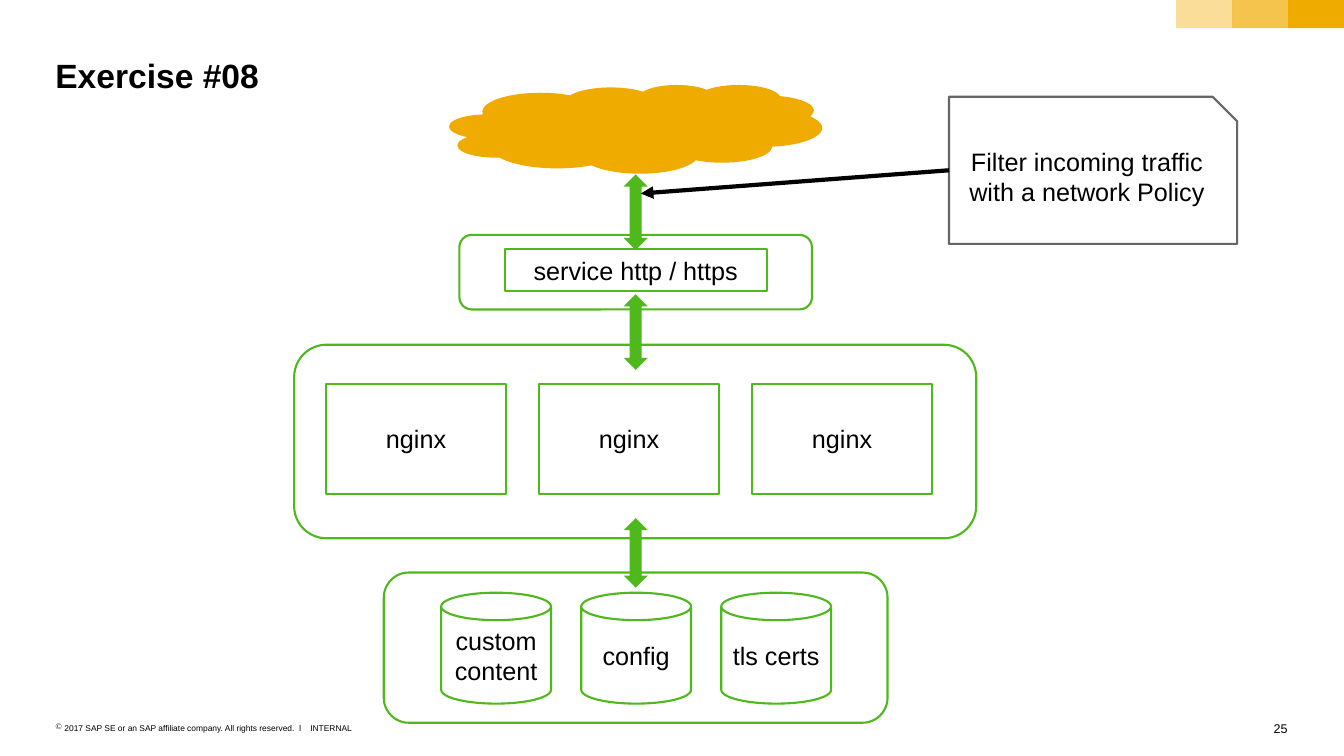
from lxml import etree
from pptx import Presentation
from pptx.dml.color import RGBColor
from pptx.enum.shapes import MSO_CONNECTOR, MSO_SHAPE
from pptx.enum.text import MSO_ANCHOR, PP_ALIGN
from pptx.oxml.ns import qn
from pptx.util import Inches, Pt

RECTANGLE = MSO_SHAPE.RECTANGLE
ROUNDED = MSO_SHAPE.ROUNDED_RECTANGLE
CAN = MSO_SHAPE.CAN
CLOUD = MSO_SHAPE.CLOUD
NOTE = MSO_SHAPE.SNIP_1_RECTANGLE
DOUBLE_ARROW = MSO_SHAPE.UP_DOWN_ARROW
STRAIGHT = MSO_CONNECTOR.STRAIGHT
MIDDLE = MSO_ANCHOR.MIDDLE
LEFT, CENTER, RIGHT = PP_ALIGN.LEFT, PP_ALIGN.CENTER, PP_ALIGN.RIGHT

BLACK, WHITE, GRAY = "000000", "FFFFFF", "666666"
GREEN, GOLD = "4FB81C", "F0AB00"


def color(value):
    return RGBColor.from_string(value)


class Canvas:
    """Places elements by percentages of the slide's width and height."""

    font = "Arial"
    outline = 1.5

    def __init__(self, presentation):
        self.width = presentation.slide_width
        self.height = presentation.slide_height
        self.slide = presentation.slides.add_slide(presentation.slide_layouts[6])

    def place(self, *shares):
        sizes = (self.width, self.height) * 2
        return [round(size * share / 100) for size, share in zip(sizes, shares)]

    def style(self, paragraph, size, align, bold=False):
        paragraph.alignment = align
        paragraph.font.name = self.font
        paragraph.font.size = Pt(size)
        paragraph.font.bold = bold
        paragraph.font.color.rgb = color(BLACK)

    def text(self, box, words, size, align=LEFT, bold=False, wrap=True, bullet=None):
        frame = self.slide.shapes.add_textbox(*self.place(*box)).text_frame
        frame.word_wrap = wrap
        frame.margin_left = frame.margin_right = 0
        frame.margin_top = frame.margin_bottom = 0
        paragraph = frame.paragraphs[0]
        paragraph.text = words
        if bullet:
            properties = paragraph._p.get_or_add_pPr()
            indent = Inches(0.09)
            properties.set("marL", str(indent))
            properties.set("indent", str(-indent))
            etree.SubElement(properties, qn("a:buChar")).set("char", bullet)
        self.style(paragraph, size, align, bold)

    def shape(self, kind, box, words="", fill=WHITE, line=GREEN, opacity=100):
        shape = self.slide.shapes.add_shape(kind, *self.place(*box))
        shape.shadow.inherit = False
        shape.fill.solid()
        shape.fill.fore_color.rgb = color(fill)
        if opacity < 100:
            fill_color = shape.fill._xPr.find(f".//{qn('a:srgbClr')}")
            etree.SubElement(fill_color, qn("a:alpha")).set("val", str(opacity * 1000))
        if line:
            shape.line.color.rgb = color(line)
            shape.line.width = Pt(self.outline)
        else:
            shape.line.fill.background()
        if words:
            frame = shape.text_frame
            frame.word_wrap = True
            frame.vertical_anchor = MIDDLE
            frame.margin_left = frame.margin_right = Inches(0.1)
            frame.margin_top = frame.margin_bottom = Inches(0.08)
            frame.text = words
            self.style(frame.paragraphs[0], 18, CENTER)

    def row(self, kind, first_box, step, labels):
        left, top, width, height = first_box
        for index, label in enumerate(labels):
            self.shape(kind, (left + index * step, top, width, height), label)

    def arrow(self, start, end):
        connector = self.slide.shapes.add_connector(STRAIGHT, *self.place(*start, *end))
        connector.line.color.rgb = color(BLACK)
        connector.line.width = Pt(3)
        line = connector.line._get_or_add_ln()
        etree.SubElement(line, qn("a:tailEnd")).set("type", "triangle")
        etree.SubElement(connector._element.spPr, qn("a:effectLst"))


def main():
    presentation = Presentation()
    presentation.slide_width = Inches(13.34)
    presentation.slide_height = Inches(7.5)
    canvas = Canvas(presentation)

    canvas.text((94.68, 95.33, 1.12, 2), "25", 9, RIGHT, wrap=False)
    canvas.text((23.09, 95.6, 3.15, 1.33), "INTERNAL", 6, wrap=False)
    canvas.text((4.12, 95.6, 18.59, 1.33),
                "2017 SAP SE or an SAP affiliate company. All rights reserved.  ǀ",
                6, bullet="©")
    band = 4.16
    for index, opacity in enumerate((100, 70, 40), start=1):
        canvas.shape(RECTANGLE, (100 - index * band, 0, band, 3.73),
                     fill=GOLD, line=None, opacity=opacity)
    canvas.text((4.12, 7.33, 91.68, 5.33), "Exercise #08", 24, bold=True)

    canvas.shape(ROUNDED, (21.89, 45.6, 50.75, 25.6))
    canvas.row(RECTANGLE, (24.29, 50.8, 13.34, 14.53), 15.85, ["nginx"] * 3)

    canvas.shape(ROUNDED, (28.56, 75.73, 37.48, 19.87))
    canvas.row(CAN, (32.83, 78.4, 8.17, 14.67), 10.42,
               ["custom content", "config", "tls certs"])

    canvas.shape(CLOUD, (33.43, 11.2, 27.74, 11.73), fill=GOLD, line=None)
    canvas.shape(ROUNDED, (34.18, 31.07, 26.24, 9.87))
    canvas.shape(RECTANGLE, (37.56, 32.93, 19.49, 5.6), "service http / https")

    for top, height in ((68.53, 9.2), (38.93, 10), (23.07, 10)):
        canvas.shape(DOUBLE_ARROW, (46.4, top, 1.8, height), fill=GREEN, line=None)

    canvas.shape(NOTE, (70.61, 12.8, 21.44, 19.47),
                 "Filter incoming traffic with a network Policy", line=GRAY)
    canvas.arrow((70.61, 22.53), (47.68, 25.6))

    presentation.save("out.pptx")


if __name__ == "__main__":
    main()
